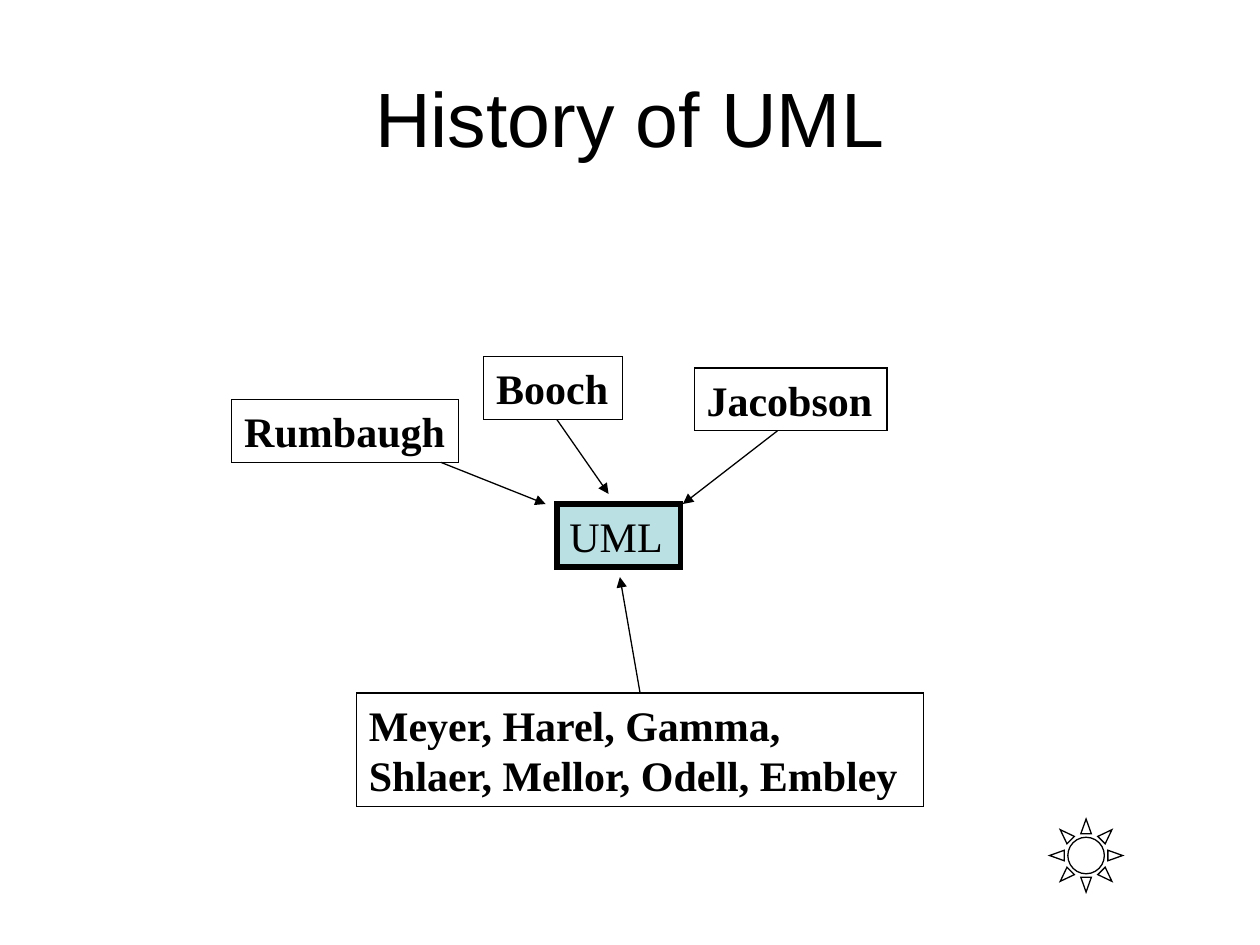
from lxml.etree import SubElement
from pptx import Presentation
from pptx.dml.color import RGBColor
from pptx.enum.shapes import MSO_CONNECTOR, MSO_SHAPE
from pptx.enum.text import MSO_ANCHOR, MSO_AUTO_SIZE, PP_ALIGN
from pptx.oxml.ns import qn
from pptx.util import Inches, Pt

PX = Inches(1) // 100
BLACK = RGBColor(0x00, 0x00, 0x00)
PALE_TEAL = RGBColor(0xBB, 0xE0, 0xE3)
TOP = 0


def px(*lengths):
    return [length * PX for length in lengths]


def set_font(paragraph, name, size, bold=False):
    paragraph.font.name = name
    paragraph.font.size = Pt(size)
    paragraph.font.bold = bold
    paragraph.font.color.rgb = BLACK


def add_outline(slide, kind, box, fill=None, weight=0.75):
    outline = slide.shapes.add_shape(kind, *px(*box))
    outline.shadow.inherit = False
    if fill is None:
        outline.fill.background()
    else:
        outline.fill.solid()
        outline.fill.fore_color.rgb = fill
    outline.line.color.rgb = BLACK
    outline.line.width = Pt(weight)
    SubElement(outline.line._get_or_add_ln(), qn("a:miter"), lim="800000")
    return outline


def add_label(slide, text, box, wrap=False, bold=True, fill=None, weight=0.75):
    label = add_outline(slide, MSO_SHAPE.RECTANGLE, box, fill, weight)
    frame = label.text_frame
    frame.word_wrap = wrap
    frame.auto_size = MSO_AUTO_SIZE.SHAPE_TO_FIT_TEXT
    frame.vertical_anchor = MSO_ANCHOR.TOP
    frame.margin_left = frame.margin_right = 10 * PX
    frame.margin_top = frame.margin_bottom = 5 * PX
    frame.text = text
    paragraph = frame.paragraphs[0]
    paragraph.alignment = PP_ALIGN.LEFT
    set_font(paragraph, "Times New Roman", 24, bold)
    return label


def add_arrow(slide, start, end):
    arrow = slide.shapes.add_connector(MSO_CONNECTOR.STRAIGHT, *px(*start, *end))
    arrow.line.color.rgb = BLACK
    arrow.line.width = Pt(0.75)
    SubElement(arrow.line._get_or_add_ln(), qn("a:tailEnd"), type="triangle")
    SubElement(arrow._element.spPr, qn("a:effectLst"))
    return arrow


def place_title(slide, box):
    title = slide.shapes.title
    title.left, title.top, title.width, title.height = px(*box)
    title.text_frame.text = "History of UML"
    title.text_frame.vertical_anchor = MSO_ANCHOR.MIDDLE
    heading = title.text_frame.paragraphs[0]
    heading.alignment = PP_ALIGN.CENTER
    set_font(heading, "Arial", 44)


def draw_influences(slide, box):
    left, top = box[:2]

    def at(x, y, *size):
        return (left + x, top + y, *size)

    add_label(slide, "UML", at(258, 117, 98, 50), wrap=True, bold=False,
              fill=PALE_TEAL, weight=3)

    founders = [
        ("Rumbaugh", (0, 34, 180, 50), (166, 84), (249, 117)),
        ("Booch", (200, 0, 110, 50), (258, 50), (299, 109)),
        ("Jacobson", (367, 9, 153, 50), (433, 59), (358, 117)),
    ]
    for name, place, start, end in founders:
        add_label(slide, name, at(*place))
        add_arrow(slide, at(*start), at(*end))

    contributors = add_label(
        slide, "Meyer, Harel, Gamma, Shlaer, Mellor, Odell, Embley",
        at(99, 267, 450, 90), wrap=True)
    arrow = add_arrow(slide, at(324, 267), at(308, 175))
    arrow.begin_connect(contributors, TOP)


def main():
    presentation = Presentation()
    presentation.slide_width, presentation.slide_height = px(1000, 750)
    slide = presentation.slides.add_slide(presentation.slide_layouts[5])
    place_title(slide, (50, 30, 900, 125))
    draw_influences(slide, (184, 283, 549, 357))
    add_outline(slide, MSO_SHAPE.SUN, (833, 650, 58, 58))
    presentation.save("out.pptx")


if __name__ == "__main__":
    main()
